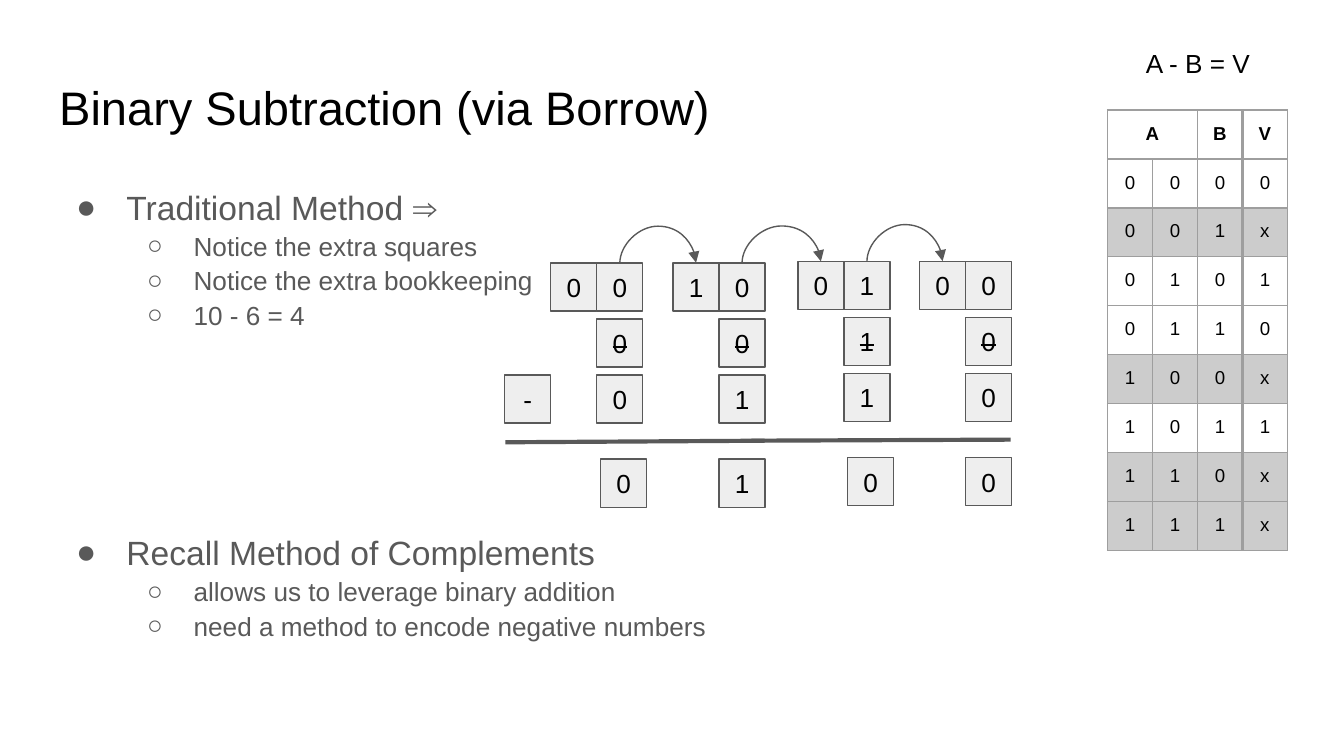
from lxml.etree import SubElement
from pptx import Presentation
from pptx.dml.color import RGBColor
from pptx.enum.shapes import MSO_CONNECTOR, MSO_SHAPE
from pptx.enum.text import MSO_ANCHOR, PP_ALIGN
from pptx.oxml.ns import qn
from pptx.util import Cm, Pt


def colour(value):
    return RGBColor.from_string(value)


def add_xml(parent, tag, **attributes):
    return SubElement(parent, qn(tag), attributes)


class SlideBuilder:
    font = "Arial"
    ink, grey, box_fill = "000000", "595959", "EEEEEE"
    border, shade = "9E9E9E", "CCCCCC"
    inset = Cm(0.25)

    def __init__(self, slide):
        self.slide = slide

    def style(self, para, size, ink=None, align=None, bold=None):
        para.alignment = align
        para.font.name = self.font
        para.font.size = Pt(size)
        para.font.bold = bold
        para.font.color.rgb = colour(ink or self.ink)

    def set_insets(self, frame):
        frame.margin_left = frame.margin_right = self.inset
        frame.margin_top = frame.margin_bottom = self.inset

    def text_box(self, left, top, width, height):
        box = self.slide.shapes.add_textbox(Cm(left), Cm(top), Cm(width), Cm(height))
        box.text_frame.word_wrap = True
        self.set_insets(box.text_frame)
        return box.text_frame

    def label(self, text, left, top, width, height, size, align=PP_ALIGN.LEFT):
        para = self.text_box(left, top, width, height).paragraphs[0]
        para.text = text
        self.style(para, size, align=align)

    def bullets(self, items, left, top, width, height):
        """Each item is (level, text, space before in points)."""
        frame = self.text_box(left, top, width, height)
        for index, (level, text, gap) in enumerate(items):
            para = frame.add_paragraph() if index else frame.paragraphs[0]
            para.text = text
            para.level = level
            para.line_spacing = 1.1
            if gap:
                para.space_before = Pt(gap)
            properties = para._p.get_or_add_pPr()
            properties.set("marL", str(Cm(1.27 * (level + 1))))
            properties.set("indent", str(-Cm((0.95, 0.88)[level])))
            bullet_colour = add_xml(properties, "a:buClr")
            add_xml(bullet_colour, "a:srgbClr", val=self.grey)
            add_xml(properties, "a:buFont", typeface=self.font)
            add_xml(properties, "a:buChar", char="●○"[level])
            self.style(para, (18, 14)[level], self.grey)

    def digit_box(self, text, left, top, strike=False):
        box = self.slide.shapes.add_shape(
            MSO_SHAPE.RECTANGLE, Cm(left), Cm(top), Cm(BOX_WIDTH), Cm(BOX_HEIGHT))
        box.shadow.inherit = False
        box.fill.solid()
        box.fill.fore_color.rgb = colour(self.box_fill)
        box.line.color.rgb = colour(self.grey)
        box.line.width = Pt(0.75)
        frame = box.text_frame
        self.set_insets(frame)
        frame.vertical_anchor = MSO_ANCHOR.MIDDLE
        para = frame.paragraphs[0]
        span = para.add_run()
        span.text = text
        self.style(para, 14, align=PP_ALIGN.CENTER)
        if strike:
            span.font._element.set("strike", "sngStrike")

    def line(self, start, end, width, kind=MSO_CONNECTOR.STRAIGHT):
        line = self.slide.shapes.add_connector(kind, *map(Cm, start + end))
        line.line.color.rgb = colour(self.grey)
        line.line.width = Pt(width)
        add_xml(line._element.spPr, "a:effectLst")
        return line

    def arc_arrow(self, start, end, bulge):
        """Arc from start up and over to end: a curve turned by 270 degrees."""
        arc = self.line(start, end, 0.75, MSO_CONNECTOR.CURVE)
        add_xml(arc.line._get_or_add_ln(), "a:tailEnd", type="triangle")
        span, rise = end[0] - start[0], max(start[1] - end[1], 0.01)
        arc.left = Cm((start[0] + end[0] - rise) / 2)
        arc.top = Cm((start[1] + end[1] - span) / 2)
        arc.width, arc.height, arc.rotation = Cm(rise), Cm(span), 270
        transform = arc._element.spPr.find(qn("a:xfrm"))
        for flip in ("flipH", "flipV"):
            transform.attrib.pop(flip, None)
        geometry = arc._element.spPr.find(qn("a:prstGeom"))
        guides = geometry.find(qn("a:avLst"))
        if guides is None:
            guides = add_xml(geometry, "a:avLst")
        add_xml(guides, "a:gd", name="adj1", fmla=f"val {round(bulge / rise * 100000)}")

    def cell_borders(self, cell, column):
        properties = cell._tc.get_or_add_tcPr()
        thick = {2: "a:lnR", 3: "a:lnL"}.get(column)
        for index, side in enumerate(("a:lnL", "a:lnR", "a:lnT", "a:lnB")):
            width = Pt(1.5 if side == thick else 0.75)
            edge = add_xml(properties, side, w=str(width))
            add_xml(add_xml(edge, "a:solidFill"), "a:srgbClr", val=self.border)
            properties.insert(index, edge)

    def truth_table(self, rows, left, top, column_width, row_height):
        columns = len(rows[0])
        table = self.slide.shapes.add_table(
            len(rows), columns, Cm(left), Cm(top),
            Cm(column_width * columns), Cm(row_height * len(rows))).table
        table.first_row = table.horz_banding = False
        for column in table.columns:
            column.width = Cm(column_width)
        for row_index, values in enumerate(rows):
            table.rows[row_index].height = Cm(row_height)
            for column_index, value in enumerate(values):
                cell = table.cell(row_index, column_index)
                self.set_insets(cell)
                para = cell.text_frame.paragraphs[0]
                para.text = value
                self.style(para, 10, align=PP_ALIGN.CENTER, bold=row_index == 0)
                if values[-1] == "x":
                    cell.fill.solid()
                    cell.fill.fore_color.rgb = colour(self.shade)
                else:
                    cell.fill.background()
                self.cell_borders(cell, column_index)
        table.cell(0, 0).merge(table.cell(0, 1))


BOX_WIDTH, BOX_HEIGHT = 0.87, 0.91
ROW_STEP = 1.06

deck = Presentation()
deck.slide_width, deck.slide_height = Cm(25.4), Cm(14.29)
page = SlideBuilder(deck.slides.add_slide(deck.slide_layouts[6]))

# Title and bullets
page.bullets([
    (0, "Traditional Method ⇒", 0),
    (1, "Notice the extra squares", 0),
    (1, "Notice the extra bookkeeping", 0),
    (1, "10 - 6 = 4", 0),
    (0, "Recall Method of Complements", 106),
    (1, "allows us to leverage binary addition", 0),
    (1, "need a method to encode negative numbers", 0),
], 0.87, 3.2, 23.67, 9.5)
page.label("A - B = V", 20.52, 0.64, 4.24, 1.12, 14, PP_ALIGN.CENTER)
page.label("Binary Subtraction (via Borrow)", 0.87, 1.24, 23.67, 1.6, 25.2)

# Digit columns: left, top, borrow pair, struck digit, subtrahend, result, result shift
digit_columns = [
    (10.41, 4.97, "00", "0", "0", "0", 0.07),
    (12.72, 4.97, "10", "0", "1", "1", 0),
    (15.08, 4.94, "01", "1", "1", "0", 0.07),
    (17.38, 4.94, "00", "0", "0", "0", 0),
]
for left, top, pair, struck, subtrahend, result, shift in digit_columns:
    right = left + BOX_WIDTH
    page.digit_box(pair[0], left, top)
    page.digit_box(pair[1], right, top)
    page.digit_box(struck, right, top + ROW_STEP, strike=True)
    page.digit_box(subtrahend, right, top + 2 * ROW_STEP)
    page.digit_box(result, right + shift, top + 3.71)
page.digit_box("-", 9.54, 7.09)

# Sum line in two halves
page.line((9.55, 8.36), (14.45, 8.33), 2.25)
page.line((14.2, 8.33), (19.1, 8.31), 2.25)

# Borrow arrows between neighbouring columns
for source, target in zip(digit_columns, digit_columns[1:]):
    start = (source[0] + 1.5 * BOX_WIDTH, source[1])
    end = (target[0] + 0.5 * BOX_WIDTH, target[1])
    page.arc_arrow(start, end, 0.7)

# Truth table of A - B with borrow
truth_rows = ["A BV"] + ["0000", "001x", "0101", "0110",
                         "100x", "1011", "110x", "111x"]
page.truth_table([[value.strip() for value in row] for row in truth_rows],
                 20.93, 2.08, 0.85, 0.9)

deck.save("out.pptx")
